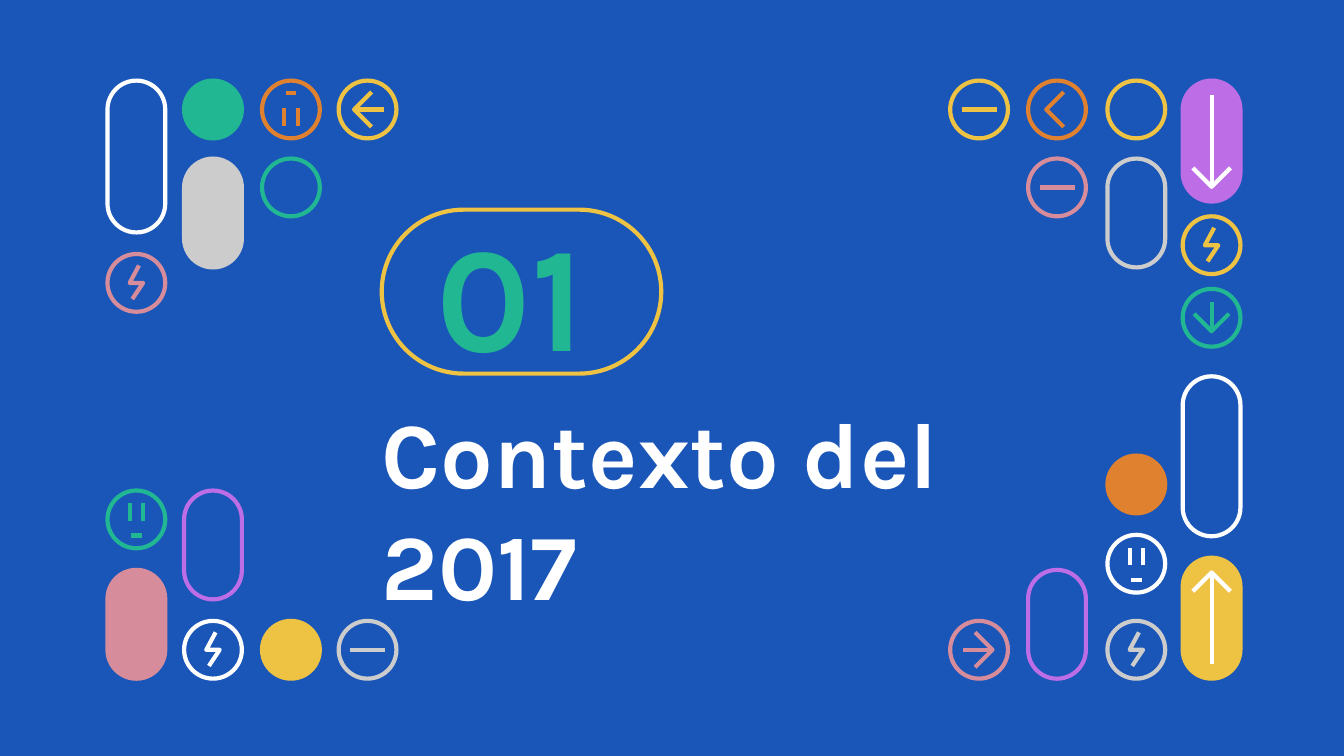
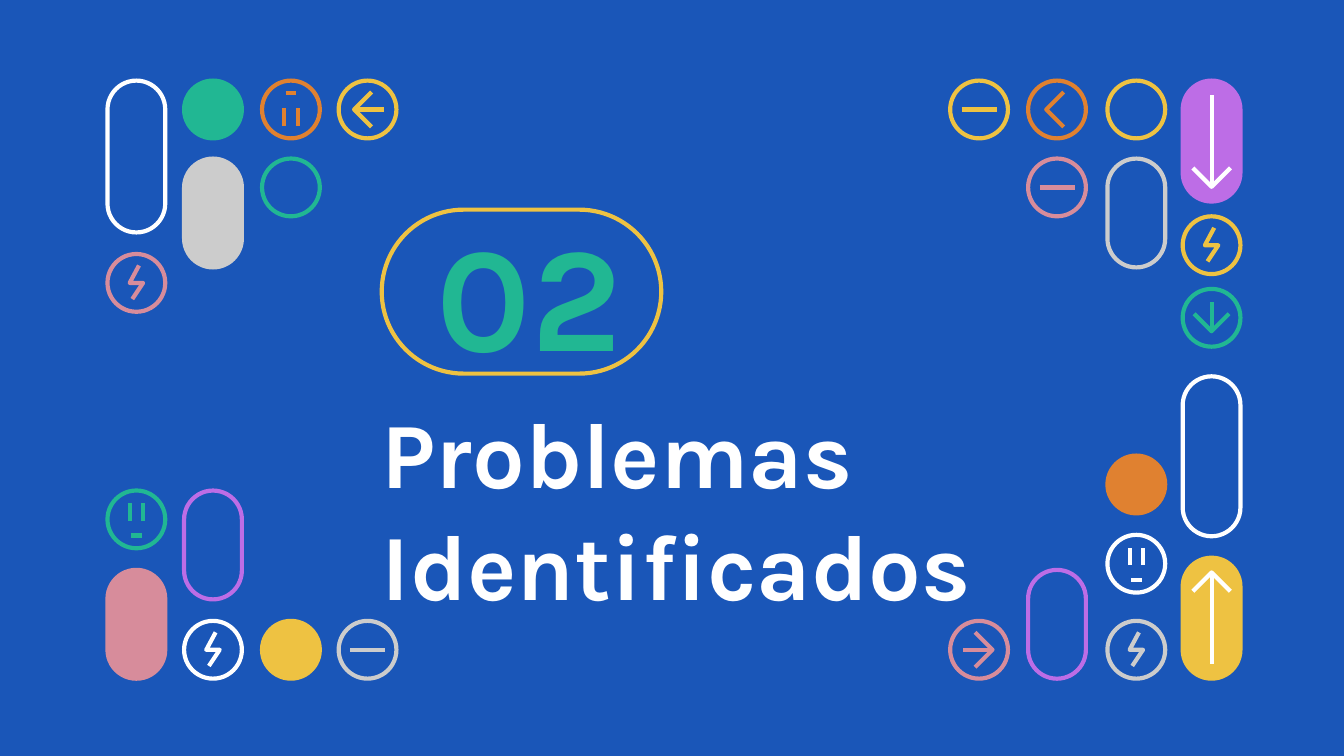
import pptx
import pptx.util
import pptx.dml.color
import pptx.enum.shapes
import pptx.enum.text
import pptx.oxml.ns
from lxml import etree

RGB = pptx.dml.color.RGBColor
BLUE = RGB(0x1A, 0x56, 0xB8)
WHITE = RGB(0xFF, 0xFF, 0xFF)
GREY = RGB(0xCC, 0xCC, 0xCC)
GREEN = RGB(0x21, 0xB7, 0x93)
YELLOW = RGB(0xEE, 0xC2, 0x42)
ORANGE = RGB(0xE0, 0x81, 0x30)
PINK = RGB(0xD7, 0x8C, 0x9B)
PURPLE = RGB(0xBD, 0x6D, 0xE6)

# Grid in inches: column lefts, row tops, and the side of a cell
COLS = [0.80, 1.37, 1.95, 2.52, 7.07, 7.65, 8.24, 8.80]
ROWS = [0.60, 1.18, 1.61, 1.89, 2.15, 2.80, 3.39, 3.65, 3.98, 4.15, 4.24, 4.62]
CELL = 0.43

# Turns of a left-pointing drawing
TURNS = {
    "left": lambda x, y: (x, y),
    "right": lambda x, y: (-x, -y),
    "up": lambda x, y: (-y, x),
    "down": lambda x, y: (y, -x),
}


def arrow(way, tip=0.10, tail=0.12, wing=0.13):
    """Strokes of an arrow around a cell's centre; no tail gives a chevron."""
    strokes = [[(wing - tip, -wing), (-tip, 0), (wing - tip, wing)]]
    if tail:
        strokes.append([(-tip, 0), (tail, 0)])
    return [[TURNS[way](x, y) for x, y in pts] for pts in strokes]


def long_arrow(way):
    return arrow(way, 0.34, 0.34, 0.14)


def face(up=1):
    """Two eyes and a mouth; up=-1 turns the face over."""
    eyes = [[(x, 0.01 * up), (x, -0.12 * up)] for x in (-0.05, 0.05)]
    return eyes + [[(-0.04, 0.12 * up), (0.04, 0.12 * up)]]


MINUS = [[(-0.13, 0), (0.13, 0)]]
BOLT = [[(0.02, -0.13), (-0.05, 0), (0.05, 0), (-0.03, 0.12)]]

# Circles: column, row, colour, filled, icon
CIRCLES = [
    (0, 3, PINK, False, BOLT),
    (0, 7, GREEN, False, face()),
    (1, 0, GREEN, True, []),
    (1, 11, WHITE, False, BOLT),
    (2, 0, ORANGE, False, face(-1)),
    (2, 1, GREEN, False, []),
    (2, 11, YELLOW, True, []),
    (3, 0, YELLOW, False, arrow("left")),
    (3, 11, GREY, False, MINUS),
    (4, 0, YELLOW, False, MINUS),
    (4, 11, PINK, False, arrow("right")),
    (5, 0, ORANGE, False, arrow("left", 0.08, 0)),
    (5, 1, PINK, False, MINUS),
    (6, 0, YELLOW, False, []),
    (6, 6, ORANGE, True, []),
    (6, 8, WHITE, False, face()),
    (6, 11, GREY, False, BOLT),
    (7, 2, YELLOW, False, BOLT),
    (7, 4, GREEN, False, arrow("down")),
]

# Pills: column, row, height, colour, filled, icon (drawn in white)
PILLS = [
    (0, 0, 1.13, WHITE, False, []),
    (0, 10, 0.81, PINK, True, []),
    (1, 1, 0.81, GREY, True, []),
    (1, 7, 0.81, PURPLE, False, []),
    (5, 10, 0.81, PURPLE, False, []),
    (6, 1, 0.81, GREY, False, []),
    (7, 0, 0.90, PURPLE, True, long_arrow("down")),
    (7, 5, 1.19, WHITE, False, []),
    (7, 9, 0.90, YELLOW, True, long_arrow("up")),
]


class Deck:
    FONT = "Karla"
    STROKE = pptx.util.Pt(2.25)

    def __init__(self):
        self.prs = pptx.Presentation()
        self.prs.slide_width = pptx.util.Inches(10)
        self.prs.slide_height = pptx.util.Inches(5.625)
        self.s = None

    def new_slide(self):
        self.s = self.prs.slides.add_slide(self.prs.slide_layouts[6])
        self.s.background.fill.solid()
        self.s.background.fill.fore_color.rgb = BLUE

    def paint(self, sp, colour, filled=False):
        sp.shadow.inherit = False
        if filled:
            sp.fill.solid()
            sp.fill.fore_color.rgb = colour
        else:
            sp.fill.background()
        sp.line.color.rgb = colour
        sp.line.width = self.STROKE

    def shape(self, kind, box, colour, filled=False):
        sp = self.s.shapes.add_shape(kind, *map(pptx.util.Inches, box))
        self.paint(sp, colour, filled)
        return sp

    def pill(self, box, colour, filled=False):
        sp = self.shape(pptx.enum.shapes.MSO_SHAPE.ROUNDED_RECTANGLE, box, colour, filled)
        sp.adjustments[0] = 0.5

    def circle(self, box, colour, filled=False):
        self.shape(pptx.enum.shapes.MSO_SHAPE.OVAL, box, colour, filled)

    def icon(self, box, strokes, colour):
        """Strokes around the centre of a box: straight ones are connectors."""
        left, top, width, height = box
        cx, cy = left + width / 2, top + height / 2
        for stroke in strokes:
            pts = [(pptx.util.Inches(cx + x), pptx.util.Inches(cy + y)) for x, y in stroke]
            if len(pts) == 2:
                ln = self.s.shapes.add_connector(
                    pptx.enum.shapes.MSO_CONNECTOR.STRAIGHT, *pts[0], *pts[1])
                ln.line.color.rgb = colour
                ln.line.width = self.STROKE
                etree.SubElement(ln._element.spPr, pptx.oxml.ns.qn("a:effectLst"))
            else:
                fb = self.s.shapes.build_freeform(*pts[0])
                fb.add_line_segments(pts[1:], close=False)
                self.paint(fb.convert_to_shape(), colour)

    def text(self, box, words, size, colour):
        tf = self.s.shapes.add_textbox(*map(pptx.util.Inches, box)).text_frame
        tf.word_wrap = True
        tf.vertical_anchor = pptx.enum.text.MSO_ANCHOR.MIDDLE
        tf.margin_left = tf.margin_right = tf.margin_top = tf.margin_bottom = 0
        r = tf.paragraphs[0].add_run()
        r.text = words
        r.font.name = self.FONT
        r.font.size = pptx.util.Pt(size)
        r.font.bold = True
        r.font.color.rgb = colour

    def corners(self):
        for col, row, height, colour, filled, strokes in PILLS:
            box = (COLS[col], ROWS[row], CELL, height)
            self.pill(box, colour, filled)
            self.icon(box, strokes, WHITE)
        for col, row, colour, filled, strokes in CIRCLES:
            box = (COLS[col], ROWS[row], CELL, CELL)
            self.circle(box, colour, filled)
            self.icon(box, strokes, colour)

    def section(self, number, number_width, title, title_width):
        self.new_slide()
        self.corners()
        self.pill((2.84, 1.56, 2.08, 1.22), YELLOW)
        self.text((2.84, 3.31, title_width, 0.92), title, 50, WHITE)
        self.text((3.25, 1.63, number_width, 1.08), number, 80, GREEN)


deck = Deck()
# Section openers
deck.section("01", 1.25, "Contexto del 2017", 4.32)
deck.section("02", 1.45, "Problemas Identificados", 4.63)
deck.prs.save("out.pptx")
